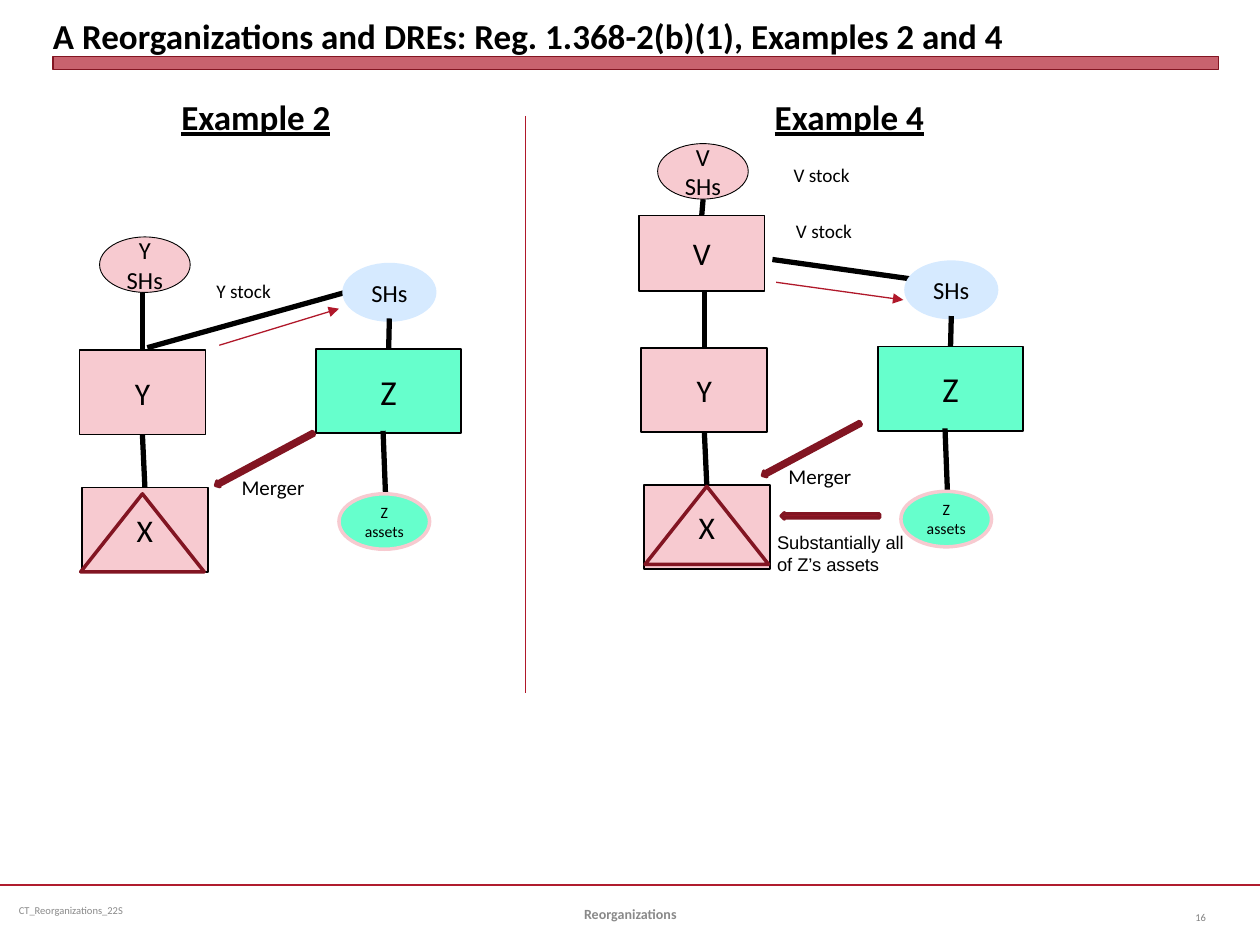
from lxml import etree
from pptx import Presentation
from pptx.dml.color import RGBColor
from pptx.enum import shapes, text
from pptx.oxml import ns
from pptx.util import Pt

BLACK = RGBColor(0x00, 0x00, 0x00)
GRAY = RGBColor(0x89, 0x89, 0x89)
NUMBER_GRAY = RGBColor(0x80, 0x80, 0x80)
RED = RGBColor(0xB0, 0x1C, 0x2E)
LINE_RED = RGBColor(0xB0, 0x18, 0x2A)
DARK_RED = RGBColor(0x82, 0x15, 0x22)
PINK = RGBColor(0xF7, 0xCA, 0xD0)
GREEN = RGBColor(0x66, 0xFF, 0xCC)
BLUE = RGBColor(0xD6, 0xEA, 0xFF)

RECT = shapes.MSO_SHAPE.RECTANGLE
OVAL = shapes.MSO_SHAPE.OVAL
TRIANGLE = shapes.MSO_SHAPE.ISOSCELES_TRIANGLE
ARROW = shapes.MSO_SHAPE.RIGHT_ARROW
LEFT, CENTER, RIGHT = text.PP_ALIGN.LEFT, text.PP_ALIGN.CENTER, text.PP_ALIGN.RIGHT
TOP, MIDDLE, BOTTOM = text.MSO_ANCHOR.TOP, text.MSO_ANCHOR.MIDDLE, text.MSO_ANCHOR.BOTTOM

deck = Presentation()
deck.slide_width, deck.slide_height = Pt(720), Pt(540)
page = deck.slides.add_slide(deck.slide_layouts[5])


def write(words, at, box=None, kind=None, fill=None, line=BLACK, width=1, size=18,
          font="Calibri", color=BLACK, bold=False, underline=False, align=LEFT,
          anchor=TOP, wrap=True, margins=(7.2, 3.6)):
    """Place text in a given box, a preset shape or a new text box."""
    place = [Pt(value) for value in at]
    if kind is not None:
        box = page.shapes.add_shape(kind, *place)
        box.shadow.inherit = False
        if fill is None:
            box.fill.background()
        else:
            box.fill.solid()
            box.fill.fore_color.rgb = fill
        box.line.color.rgb = line
        box.line.width = Pt(width)
        align, anchor = CENTER, MIDDLE
    elif box is None:
        box = page.shapes.add_textbox(*place)
    box.left, box.top, box.width, box.height = place
    if words:
        frame = box.text_frame
        frame.auto_size = text.MSO_AUTO_SIZE.NONE
        frame.word_wrap = wrap
        frame.vertical_anchor = anchor
        frame.margin_left = frame.margin_right = Pt(margins[0])
        frame.margin_top = frame.margin_bottom = Pt(margins[1])
        para = frame.paragraphs[0]
        para.alignment = align
        span = para.add_run()
        span.text = words
        span.font.name, span.font.size = font, Pt(size)
        span.font.bold, span.font.underline = bold, underline
        span.font.color.rgb = color
    return box


def draw_line(start, end, color=BLACK, width=3, arrow=False):
    """Draw a straight line, with an optional arrowhead at its end."""
    line = page.shapes.add_connector(
        shapes.MSO_CONNECTOR.STRAIGHT, *[Pt(value) for value in (*start, *end)])
    line.line.color.rgb = color
    line.line.width = Pt(width)
    if arrow:
        etree.SubElement(line.line._get_or_add_ln(), ns.qn("a:tailEnd"), type="triangle")
    etree.SubElement(line._element.spPr, ns.qn("a:effectLst"))
    return line


# Title with its translucent bar
bar = write("", (30.24, 32.4, 666, 7.2), kind=RECT, fill=RED, line=DARK_RED, width=0)
bar_color = bar.fill._xPr.find(".//" + ns.qn("a:srgbClr"))
etree.SubElement(bar_color, ns.qn("a:alpha"), val="69000")
write("A Reorganizations and DREs: Reg. 1.368-2(b)(1), Examples 2 and 4",
      (30.24, 3.6, 666, 28.8), box=page.shapes.title, size=20, bold=True,
      anchor=BOTTOM, margins=(0, 0))

# Footer
draw_line((0, 505.6), (720, 505.6), RED, 1.25)
write("CT_Reorganizations_22S", (5.76, 505.6, 186, 28.8), size=6, color=GRAY,
      anchor=MIDDLE, margins=(5, 3))
write("Reorganizations", (246.24, 507.6, 228, 28.8), size=8, color=GRAY, bold=True,
      align=CENTER, anchor=MIDDLE)
write("16", (660.24, 509.8, 36, 28.8), size=6, color=NUMBER_GRAY,
      align=RIGHT, anchor=MIDDLE)

# Divider and headings
draw_line((300.2, 66.2), (300.2, 396), LINE_RED, 0.75)
for heading, left in (("Example 2", 96.5), ("Example 4", 435.6)):
    write(heading, (left, 51.1, 101, 31.7), size=20, bold=True, underline=True, wrap=False)

# Stock ownership lines, which run under the shareholder ovals
draw_line((84.2, 198.7), (213.1, 162.7))
draw_line((441.4, 148.3), (534.2, 161.3))

# Structure that both examples share: Y over X, shareholders over Z over its assets
parents = []
for x, y in ((0, 0), (321.1, -1.4)):
    parent = write("Y", (x + 45.4, y + 200.2, 72, 48.2), kind=RECT, fill=PINK, wrap=False)
    entity = write("X", (x + 46.8, y + 278.6, 72, 48.2), kind=RECT, fill=PINK, wrap=False)
    target = write("Z", (x + 180.7, y + 199.4, 82.8, 48.2), kind=RECT, fill=GREEN,
                   size=20, wrap=False)
    write("SHs", (x + 196.6, y + 151.2, 51.8, 31.7), kind=OVAL, fill=BLUE, line=BLUE,
          width=2, size=14)
    draw_line((x + 218.9, y + 246.2), (x + 220.3, y + 282.2))
    write("Z assets", (x + 193.7, y + 282.2, 51.8, 31.7), kind=OVAL, fill=GREEN,
          line=PINK, width=2, size=9)
    link = draw_line((x + 81.4, y + 248.4), (x + 82.8, y + 278.6))
    link.begin_connect(parent, 2)
    link.end_connect(entity, 0)
    link = draw_line((x + 222.5, y + 182), (x + 222.1, y + 199.4))
    link.end_connect(target, 0)
    parents.append(parent)

# Top of each chain: Y shareholders on the left, V and its shareholders on the right
draw_line((81.4, 167), (81.4, 200.2)).end_connect(parents[0], 0)
write("Y SHs", (56.9, 135.4, 51.8, 31.7), kind=OVAL, fill=PINK, width=0.5, size=14)
holding = write("V", (365, 123.1, 72, 43.2), kind=RECT, fill=PINK, wrap=False)
draw_line((402.5, 166), (402.5, 198.8)).end_connect(parents[1], 0)
draw_line((401.8, 113.8), (401, 123.1)).end_connect(holding, 0)
write("V SHs", (375.8, 82.1, 51.8, 31.7), kind=OVAL, fill=PINK, width=0.5, size=14)

# Disregarded-entity triangles over X
for left, top in ((46.1, 282.2), (368.6, 277.9)):
    write("", (left, top, 70.6, 44.6), kind=TRIANGLE, line=DARK_RED, width=2)

# Stock issued to the Z shareholders
draw_line((125.3, 197.3), (193.7, 176.4), LINE_RED, 0.75, arrow=True)
draw_line((443.5, 161.3), (516.2, 171.4), LINE_RED, 0.75, arrow=True)
for label, left, top in (("Y stock", 116.6, 156.2), ("V stock", 446.4, 90),
                         ("V stock", 447.8, 121.7)):
    write(label, (left, top, 110.9, 20.9), size=11)

# Merger and asset transfer arrows
for left, top, length, angle in ((119.5, 260.6, 63.4, 151.9), (432, 254.9, 63.4, 151.9),
                                 (446.4, 293, 56.2, 180)):
    arrow = write("", (left, top, length, 3.6), kind=ARROW, fill=RED, line=DARK_RED, width=2)
    arrow.adjustments[0] = 0.61
    arrow.rotation = angle
for left, top in ((131, 267.8), (443.5, 261.4)):
    write("Merger", (left, top, 50.4, 21.6), size=12, wrap=False)
write("Substantially all of Z’s assets", (437, 300.2, 90.7, 33.8), size=10.5, font="Arial")

deck.save("out.pptx")
